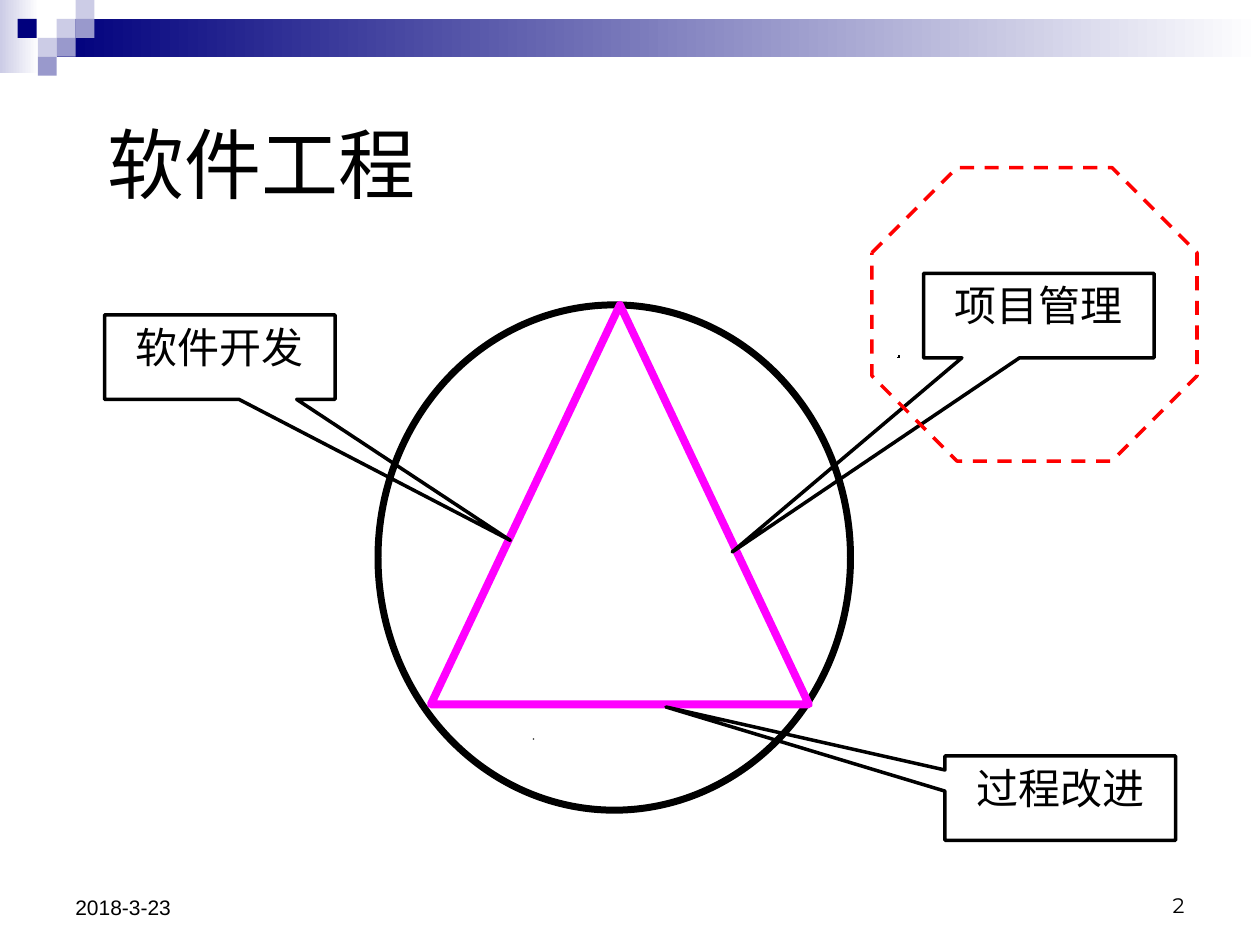
from lxml.etree import SubElement
from pptx import Presentation
from pptx.dml.color import RGBColor
from pptx.enum.dml import MSO_LINE
from pptx.enum.shapes import MSO_CONNECTOR, MSO_SHAPE
from pptx.enum.text import MSO_ANCHOR, PP_ALIGN
from pptx.oxml.ns import qn
from pptx.util import Pt

PX = 9144  # EMU per px, 100 px to the inch
BLACK = RGBColor(0x00, 0x00, 0x00)
WHITE = RGBColor(0xFF, 0xFF, 0xFF)
NAVY = RGBColor(0x00, 0x00, 0x7D)
LAVENDER = RGBColor(0xCC, 0xCC, 0xE6)
PERIWINKLE = RGBColor(0x99, 0x99, 0xCC)
MAGENTA = RGBColor(0xFF, 0x00, 0xFF)
RED = RGBColor(0xFF, 0x00, 0x00)
CJK_FONT = "Noto Sans CJK SC"


def write(frame, text, size, font, align=PP_ALIGN.LEFT, anchor=MSO_ANCHOR.TOP):
    frame.word_wrap = True
    frame.vertical_anchor = anchor
    paragraph = frame.paragraphs[0]
    paragraph.alignment = align
    run = paragraph.add_run()
    run.text = text
    run.font.size = Pt(size)
    run.font.name = font
    run.font.color.rgb = BLACK
    SubElement(run.font._element, qn("a:ea"), typeface=CJK_FONT)


def draw(kind, box, fill=None, fade=None, line=None, width=0):
    """Add a shape; fade makes its fill run from that colour to white."""
    shape = slide.shapes.add_shape(kind, *(v * PX for v in box))
    shape.shadow.inherit = False
    if fade is not None:
        shape.fill.gradient()
        shape.fill.gradient_angle = 0
        for stop, color in zip(shape.fill.gradient_stops, (fade, WHITE)):
            stop.color.rgb = color
        shape.fill.gradient_stops[0].position = 0
        shape.fill.gradient_stops[1].position = 1
    elif fill is not None:
        shape.fill.solid()
        shape.fill.fore_color.rgb = fill
    else:
        shape.fill.background()
    if line is not None:
        shape.line.color.rgb = line
        shape.line.width = Pt(width)
    else:
        shape.line.fill.background()
    return shape


prs = Presentation()
prs.slide_width, prs.slide_height = 1000 * PX, 750 * PX
slide = prs.slides.add_slide(prs.slide_layouts[5])

# Header band and its mosaic of squares
draw(MSO_SHAPE.RECTANGLE, (0, 0, 31, 58), fade=LAVENDER)
draw(MSO_SHAPE.RECTANGLE, (45, 15, 955, 30), fade=NAVY)
TILE = 15
for left, top, color in [
    (45, 15, LAVENDER), (60, 0, LAVENDER), (60, 15, PERIWINKLE),
    (30, 30, LAVENDER), (14, 15, NAVY), (45, 30, PERIWINKLE),
    (30, 45, PERIWINKLE),
]:
    draw(MSO_SHAPE.RECTANGLE, (left, top, TILE, TILE), fill=color)

# Title
title = slide.shapes.title
title.left, title.top, title.width, title.height = (
    v * PX for v in (75, 67, 850, 125))
write(title.text_frame, "软件工程", 44, CJK_FONT, anchor=MSO_ANCHOR.MIDDLE)

# Footer
for text, box, font, align in [
    ("2", (717, 683, 233, 50), "Montserrat", PP_ALIGN.RIGHT),
    ("2018-3-23", (50, 683, 233, 52), "Arial", PP_ALIGN.LEFT),
]:
    footer = slide.shapes.add_textbox(*(v * PX for v in box))
    write(footer.text_frame, text, 12, font, align, MSO_ANCHOR.BOTTOM)

# Small specks beside the diagram
for end_x, end_y in [(714, 283), (713, 284)]:
    speck = slide.shapes.add_connector(
        MSO_CONNECTOR.STRAIGHT, 713 * PX, 283 * PX, end_x * PX, end_y * PX)
    speck.line.color.rgb = BLACK
    speck.line.width = 0
    SubElement(speck._element.spPr, qn("a:effectLst"))
draw(MSO_SHAPE.RECTANGLE, (423, 586, 1, 1), fill=BLACK)

# Circle and triangle
draw(MSO_SHAPE.OVAL, (300, 242, 375, 401), line=BLACK, width=4)
draw(MSO_SHAPE.ISOSCELES_TRIANGLE, (342, 242, 300, 317), line=MAGENTA, width=4.5)

# One callout for each side of the triangle
for text, left, top, tip_x, tip_y in [
    ("软件开发", 83, 250, 1.26, 2.17),
    ("项目管理", 733, 217, -1.33, 2.8),
    ("过程改进", 750, 600, -1.71, -1.08),
]:
    callout = draw(MSO_SHAPE.RECTANGULAR_CALLOUT, (left, top, 183, 67),
                   line=BLACK, width=2)
    callout.adjustments[0] = tip_x
    callout.adjustments[1] = tip_y
    write(callout.text_frame, text, 24, "Arial Narrow", PP_ALIGN.CENTER)

# Dashed highlight around project management
highlight = draw(MSO_SHAPE.OCTAGON, (692, 133, 258, 233), line=RED, width=2)
highlight.adjustments[0] = 0.29
highlight.line.dash_style = MSO_LINE.DASH

prs.save("out.pptx")
